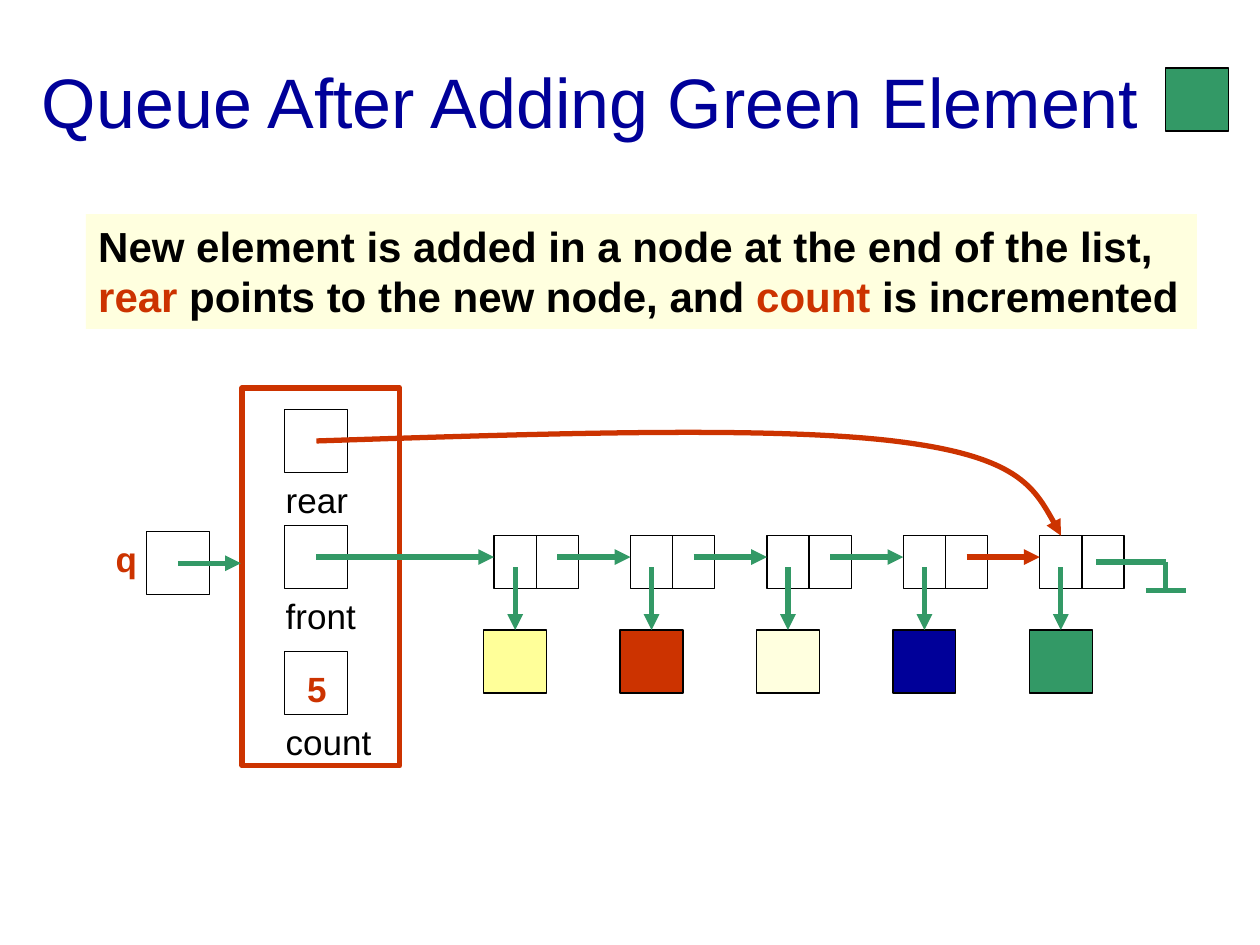
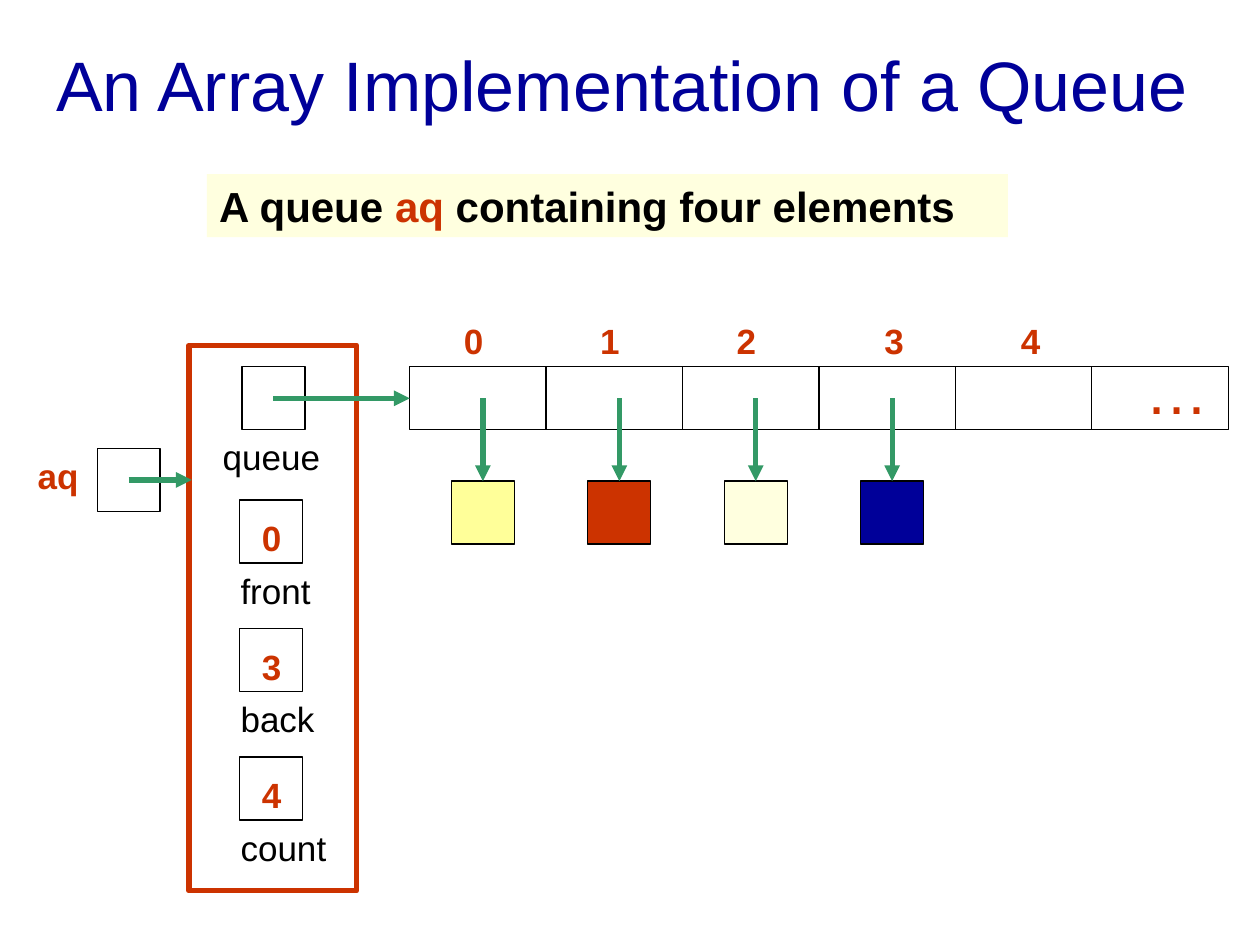
from lxml.etree import SubElement
from pptx import Presentation
from pptx.dml.color import RGBColor
from pptx.enum.shapes import MSO_CONNECTOR, MSO_SHAPE
from pptx.enum.text import MSO_ANCHOR, PP_ALIGN
from pptx.oxml.ns import qn
from pptx.util import Cm, Pt

FONT = "Arial"
BLACK, NAVY, RED, GREEN = "000000", "000099", "CC3300", "339966"
YELLOW, CREAM = "FFFF99", "FFFFDF"
ELEMENTS = [YELLOW, RED, CREAM, NAVY, GREEN]

CELL = 1.27
PITCH = 2.75
LABEL_HEIGHT = 1.09
LABEL_WIDTH = 2.54


def rgb(color):
    return RGBColor.from_string(color)


def style_line(line, color, width, arrow=False):
    line.color.rgb = rgb(color)
    line.width = Pt(width)
    if arrow:
        SubElement(line._get_or_add_ln(), qn("a:tailEnd"), type="triangle")


def add_rect(page, left, top, width, height, fill=None, color=BLACK, line_width=0.75):
    rect = page.shapes.add_shape(
        MSO_SHAPE.RECTANGLE, Cm(left), Cm(top), Cm(width), Cm(height))
    rect.shadow.inherit = False
    if fill:
        rect.fill.solid()
        rect.fill.fore_color.rgb = rgb(fill)
    else:
        rect.fill.background()
    if color:
        style_line(rect.line, color, line_width)
    else:
        rect.line.fill.background()
    return rect


def add_cell(page, left, top, fill=None):
    return add_rect(page, left, top, CELL, CELL, fill)


def add_line(page, start, end, color=GREEN, arrow=True):
    points = [Cm(value) for value in (*start, *end)]
    line = page.shapes.add_connector(MSO_CONNECTOR.STRAIGHT, *points)
    SubElement(line._element.spPr, qn("a:effectLst"))
    style_line(line.line, color, 3, arrow)


def write(shape, spans, size, bold=False, align=PP_ALIGN.LEFT, anchor=MSO_ANCHOR.TOP):
    """Fill a shape with one paragraph of (text, colour) spans."""
    frame = shape.text_frame
    frame.word_wrap = True
    frame.vertical_anchor = anchor
    para = frame.paragraphs[0]
    para.alignment = align
    para.font.name = FONT
    para.font.size = Pt(size)
    para.font.bold = bold
    for text, color in spans:
        span = para.add_run()
        span.text = text
        span.font.color.rgb = rgb(color)


def add_text(page, left, top, width, height, text, color=BLACK, size=20, **style):
    box = page.shapes.add_textbox(Cm(left), Cm(top), Cm(width), Cm(height))
    write(box, [(text, color)], size, **style)


def add_label(page, left, top, text, color=BLACK, bold=False):
    add_text(page, left, top, LABEL_WIDTH, LABEL_HEIGHT, text, color, bold=bold)


def add_title(page, box, text):
    add_text(page, *box, text, NAVY, 40, align=PP_ALIGN.CENTER, anchor=MSO_ANCHOR.MIDDLE)


def add_banner(page, box, spans):
    write(add_rect(page, *box, fill=CREAM, color=None), spans, 24, bold=True)


def add_variable(page, left, top, name, name_left):
    """Draw a named reference with an arrow to the record on its right."""
    add_label(page, name_left, top, name, RED, bold=True)
    add_cell(page, left, top)
    middle = top + CELL / 2
    add_line(page, (left + CELL / 2, middle), (left + 1.5 * CELL, middle))


def add_field(page, left, top, name, value=None, name_shift=-0.23):
    add_cell(page, left, top)
    add_label(page, left + name_shift, top + CELL, name)
    if value:
        add_label(page, left + 0.2, top + 0.21, value, RED, bold=True)


def add_record(page, box):
    add_rect(page, *box, color=RED, line_width=3)


def add_curve(page, points):
    """Draw a red arrow through a start point and triples of Bezier points."""
    scaled = [(Cm(x), Cm(y)) for x, y in points]
    builder = page.shapes.build_freeform(*scaled[0], scale=1.0)
    builder.add_line_segments(scaled[1:], close=False)
    curve = builder.convert_to_shape()
    curve.shadow.inherit = False
    curve.fill.background()
    style_line(curve.line, RED, 3, arrow=True)
    segments = list(curve._element.iter(qn("a:lnTo")))
    outline = segments[0].getparent()
    for first in range(0, len(segments), 3):
        bezier = SubElement(outline, qn("a:cubicBezTo"))
        for segment in segments[first:first + 3]:
            bezier.append(segment[0])
            outline.remove(segment)


def add_linked_list(page, left, top):
    half, height, link_y = 0.85, 1.06, top + 0.43
    element_top = top + 1.9
    for index, color in enumerate(ELEMENTS):
        node = left + index * PITCH
        pointer_x = node + half / 2
        add_cell(page, node - 0.21, element_top, color)
        for part in range(2):
            add_rect(page, node + part * half, top, half, height)
        add_line(page, (pointer_x, top + 0.64), (pointer_x, element_top))
        if index:
            link_color = RED if index == len(ELEMENTS) - 1 else GREEN
            add_line(page, (node - PITCH + 1.5 * half, link_y), (node, link_y), link_color)
    add_list_end(page, node + 1.14, top + 0.53)


def add_list_end(page, left, top):
    corner, bottom = left + 1.4, top + 0.58
    for start, end in [((left, top), (corner, top)),
                       ((corner, top), (corner, bottom)),
                       ((corner - 0.4, bottom), (corner + 0.4, bottom))]:
        add_line(page, start, end, arrow=False)


def add_array(page, left, top):
    slot_count = 6
    element_top = top + 2.31
    for index in range(slot_count):
        slot = left + index * PITCH
        add_rect(page, slot, top, PITCH, CELL)
        if index < slot_count - 1:
            shift = 0.84 if index < 3 else 1.07
            add_label(page, slot + shift, top - 1.07, str(index), RED, bold=True)
        if index < 4:
            add_cell(page, slot + 0.84, element_top, ELEMENTS[index])
            pointer_x = slot + 0.84 + CELL / 2
            add_line(page, (pointer_x, top + CELL / 2), (pointer_x, element_top))
    add_text(page, slot + 0.84, top - 0.43, 1.7, 1.78, "…", RED, 36)


def build_linked_queue(page):
    add_title(page, (0.3, 0.43, 23.19, 3.18), "Queue After Adding Green Element")
    add_cell(page, 23.5, 1.37, GREEN)
    add_banner(page, (1.73, 4.32, 22.4, 2.31), [
        ("New element is added in a node at the end of the list, ", BLACK),
        ("rear", RED), (" points to the new node, and ", BLACK),
        ("count", RED), (" is incremented", BLACK)])
    left, top = 4.88, 7.82
    add_record(page, (left, top, 3.18, 7.62))
    for shift, name, value in [(0.44, "rear", None), (2.77, "front", None),
                               (5.31, "count", "5")]:
        add_field(page, left + 0.86, top + shift, name, value)
    add_variable(page, 2.95, 10.72, "q", 2.08)
    add_linked_list(page, 9.96, 10.8)
    add_line(page, (6.38, 11.23), (9.96, 11.23))
    add_curve(page, [(6.38, 8.89), (10.95, 8.74), (15.49, 8.59), (18.01, 8.89),
                     (20.52, 9.19), (20.96, 9.98), (21.39, 10.8)])


def build_array_queue(page):
    add_title(page, (0.51, 0.43, 24.05, 2.49), "An Array Implementation of a Queue")
    add_banner(page, (4.17, 3.51, 16.15, 1.27), [
        ("A queue ", BLACK), ("aq", RED), (" containing four elements", BLACK)])
    left, top = 3.81, 6.96
    add_record(page, (left, top, 3.38, 11))
    add_field(page, left + 1.07, top + 0.43, "queue", name_shift=-0.64)
    for row, (name, value) in enumerate([("front", "0"), ("back", "3"), ("count", "4")]):
        add_field(page, left + 1.02, top + 3.12 + row * 2.59, name, value)
    add_variable(page, 1.96, 9.04, "aq", 0.51)
    add_array(page, 8.26, 7.39)
    add_line(page, (5.51, 8.03), (8.26, 8.03))


def main():
    deck = Presentation()
    deck.slide_width, deck.slide_height = Cm(25.4), Cm(19.05)
    for build in (build_linked_queue, build_array_queue):
        build(deck.slides.add_slide(deck.slide_layouts[6]))
    deck.save("out.pptx")


if __name__ == "__main__":
    main()
